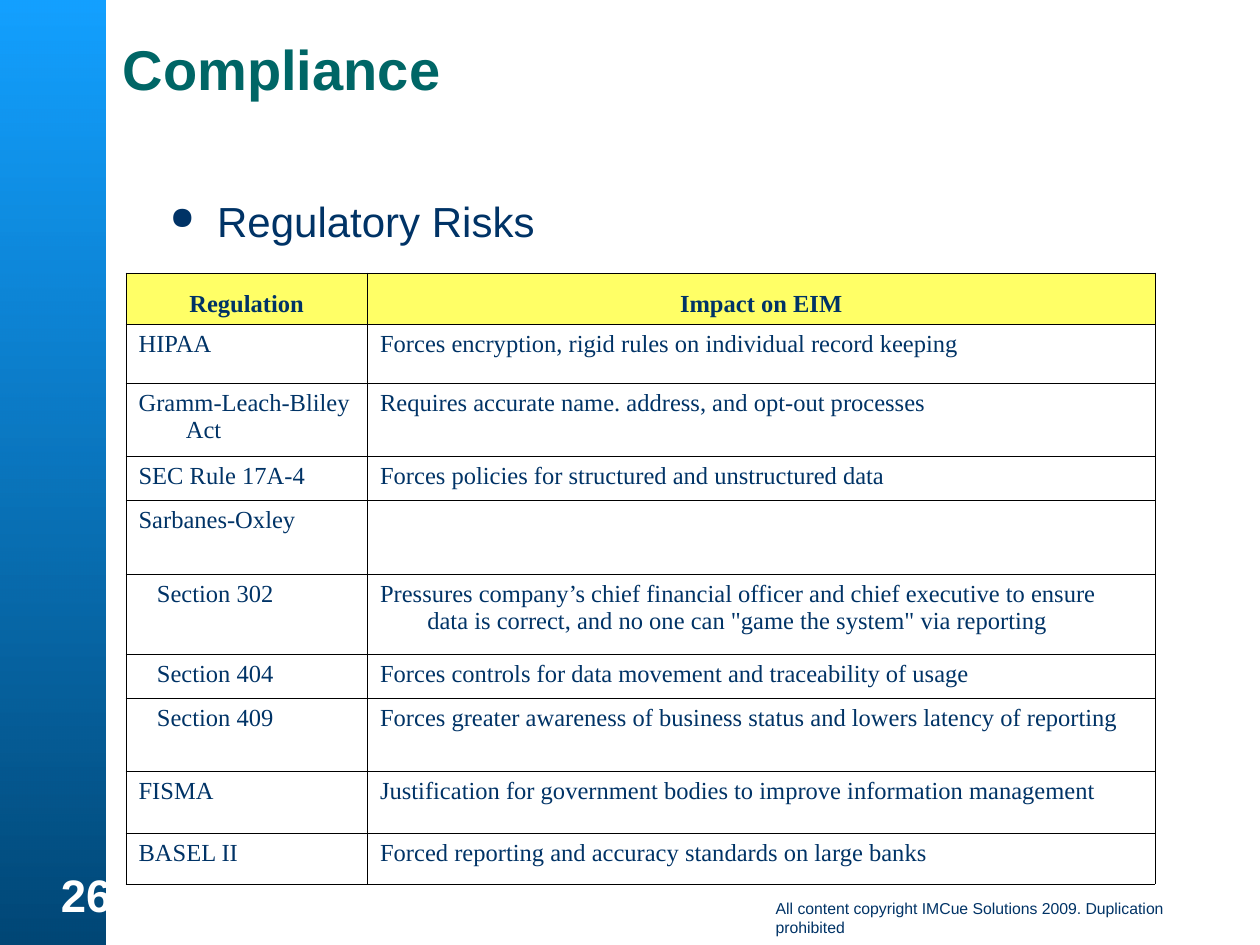
import pptx
import pptx.util
import pptx.dml.color
import pptx.enum.shapes
import pptx.enum.text
import pptx.oxml.ns
import lxml.etree

qn = pptx.oxml.ns.qn
Pt = pptx.util.Pt
ALIGN = pptx.enum.text.PP_ALIGN
ANCHOR = pptx.enum.text.MSO_ANCHOR

COLORS = {
    "navy": "003366",
    "teal": "006666",
    "yellow": "FFFF66",
    "white": "FFFFFF",
    "black": "000000",
    "bar_top": "0099FF",
    "bar_bottom": "004776",
}
COLS, ROWS = 120, 90
CELL = pptx.util.Inches(10) / COLS
HANG = 4.5
COL_WIDTHS = [23, 75]
ROW_HEIGHTS = [4.9, 5.6, 7, 4.2, 7, 7.6, 4.2, 7, 5.9, 4.8]
REGULATIONS = [
    ("Regulation", "Impact on EIM"),
    ("HIPAA", "Forces encryption, rigid rules on individual record keeping"),
    ("Gramm-Leach-Bliley Act", "Requires accurate name. address, and opt-out processes"),
    ("SEC Rule 17A-4", "Forces policies for structured and unstructured data"),
    ("Sarbanes-Oxley", ""),
    ("Section 302", "Pressures company’s chief financial officer and chief executive to ensure "
                    "data is correct, and no one can \"game the system\" via reporting"),
    ("Section 404", "Forces controls for data movement and traceability of usage"),
    ("Section 409", "Forces greater awareness of business status and lowers latency of reporting"),
    ("FISMA", "Justification for government bodies to improve information management"),
    ("BASEL II", "Forced reporting and accuracy standards on large banks"),
]


def grid(*cells):
    return [pptx.util.Emu(round(n * CELL)) for n in cells]


def rgb(name):
    return pptx.dml.color.RGBColor.from_string(COLORS[name])


def sub(parent, tag, **attrs):
    return lxml.etree.SubElement(parent, qn(tag), attrs)


def write(tf, text, size, color="navy", font="Arial", bold=False, align=ALIGN.LEFT,
          hang=0, indent=0, bullet=None, spacing=None):
    p = tf.paragraphs[0]
    p.alignment = align
    if spacing:
        p.line_spacing = spacing
    pPr = p._p.get_or_add_pPr()
    left, first = grid(hang + indent, -hang)
    pPr.set("marL", str(left))
    pPr.set("indent", str(first))
    if bullet:
        sub(sub(pPr, "a:buClr"), "a:srgbClr", val=COLORS[color])
        sub(pPr, "a:buSzPct", val="75000")
        sub(pPr, "a:buChar", char=bullet)
    if not text:
        p.font.size = Pt(size)
        return
    r = p.add_run()
    r.text = text
    r.font.size = Pt(size)
    r.font.name = font
    r.font.bold = bold
    r.font.color.rgb = rgb(color)


def add_text(s, place, text, size, anchor=ANCHOR.TOP, wrap=True, fill=None, **fmt):
    sp = s.shapes.add_textbox(*grid(*place))
    tf = sp.text_frame
    tf.word_wrap = wrap
    tf.vertical_anchor = anchor
    if fill:
        sp.fill.solid()
        sp.fill.fore_color.rgb = rgb(fill)
    write(tf, text, size, **fmt)


def set_title(s, text):
    sp = s.shapes.title
    sp.left, sp.top, sp.width, sp.height = grid(10.5, 2.5, 102.8, 7.9)
    tf = sp.text_frame
    tf.vertical_anchor = ANCHOR.BOTTOM
    tf.auto_size = pptx.enum.text.MSO_AUTO_SIZE.NONE
    write(tf, text, 32, color="teal", bold=True, spacing=0.9)


def add_side_bar(s):
    sp = s.shapes.add_shape(pptx.enum.shapes.MSO_SHAPE.RECTANGLE, *grid(0, 0, 10, ROWS))
    sp.shadow.inherit = False
    sp.line.fill.background()
    sp.fill.gradient()
    sp.fill.gradient_angle = 270
    for stop, position, name in zip(sp.fill.gradient_stops, (0, 1), ("bar_top", "bar_bottom")):
        stop.position = position
        stop.color.rgb = rgb(name)
    top = next(sp._element.iter(qn("a:srgbClr")))
    sub(top, "a:alpha", val="93000")


def set_borders(cell):
    tcPr = cell._tc.get_or_add_tcPr()
    for i, side in enumerate(("a:lnL", "a:lnR", "a:lnT", "a:lnB")):
        ln = lxml.etree.Element(qn(side), w=str(Pt(0.45)))
        sub(sub(ln, "a:solidFill"), "a:srgbClr", val=COLORS["black"])
        tcPr.insert(i, ln)


def add_regulations(s):
    place = grid(12, 26, sum(COL_WIDTHS), sum(ROW_HEIGHTS))
    table = s.shapes.add_table(len(REGULATIONS), len(COL_WIDTHS), *place).table
    table.horz_banding = False
    for column, width in zip(table.columns, grid(*COL_WIDTHS)):
        column.width = width
    for row, height in zip(table.rows, grid(*ROW_HEIGHTS)):
        row.height = height
    for i, texts in enumerate(REGULATIONS):
        header = i == 0
        for j, text in enumerate(texts):
            cell = table.cell(i, j)
            cell.vertical_anchor = ANCHOR.BOTTOM if header else ANCHOR.TOP
            if header:
                cell.fill.solid()
                cell.fill.fore_color.rgb = rgb("yellow")
            else:
                cell.fill.background()
            set_borders(cell)
            write(cell.text_frame, text, 14, font="Times New Roman", bold=header,
                  align=ALIGN.CENTER if header else ALIGN.LEFT, hang=HANG,
                  indent=1.75 if text.startswith("Section") else 0)


def main():
    prs = pptx.Presentation()
    prs.slide_width, prs.slide_height = grid(COLS, ROWS)
    s = prs.slides.add_slide(prs.slide_layouts[5])
    add_side_bar(s)
    add_text(s, (72.7, 85, 46.3, 3),
             "All content copyright IMCue Solutions 2009. Duplication prohibited",
             9, wrap=False, fill="white")
    add_text(s, (-1, 82, 12.8, 6.4), "26", 26, anchor=ANCHOR.BOTTOM,
             color="white", bold=True, align=ALIGN.RIGHT)
    set_title(s, "Compliance")
    add_text(s, (15, 18, 49.4, 48.8), "Regulatory Risks", 24, hang=HANG, bullet="●")
    add_regulations(s)
    prs.save("out.pptx")


if __name__ == "__main__":
    main()
